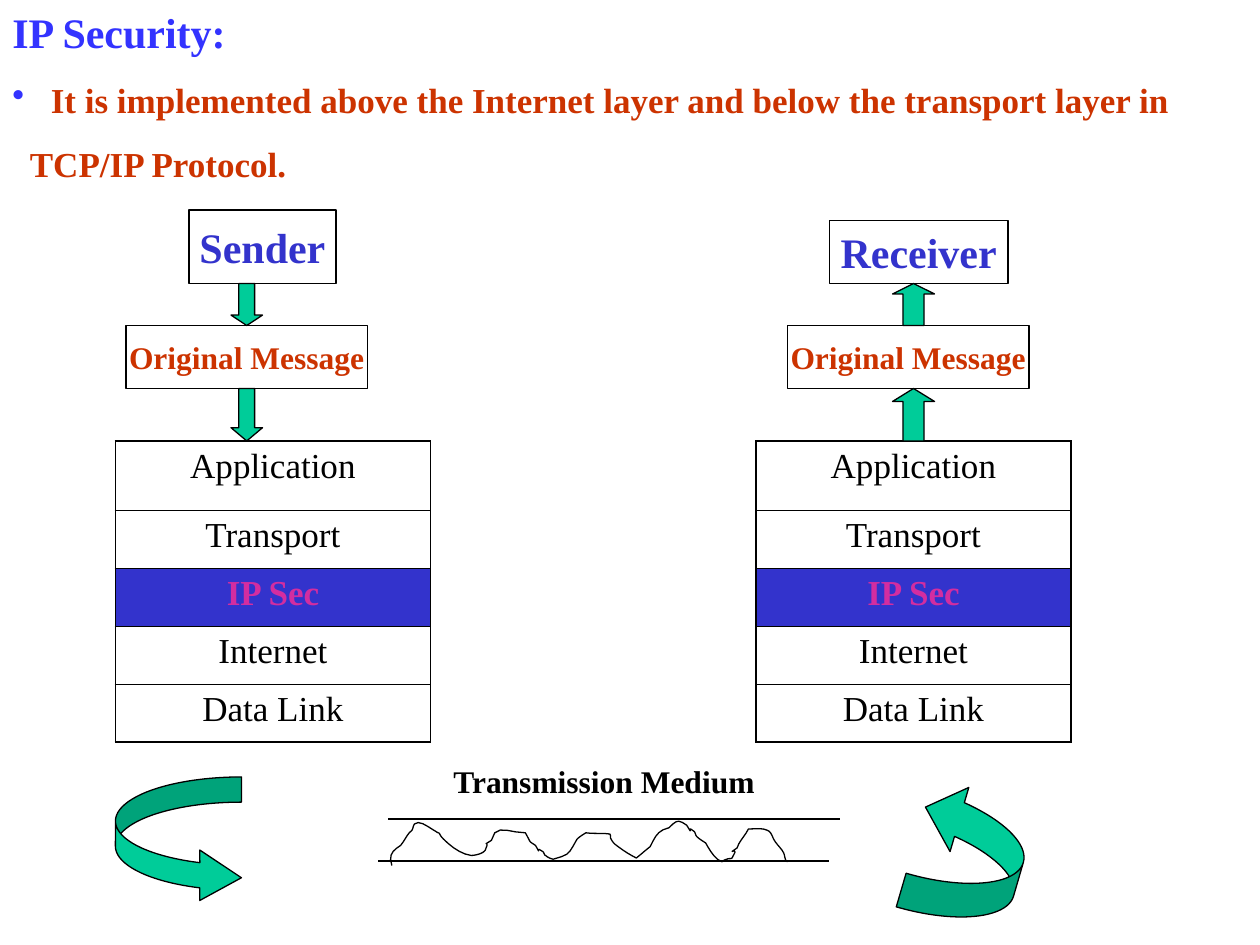
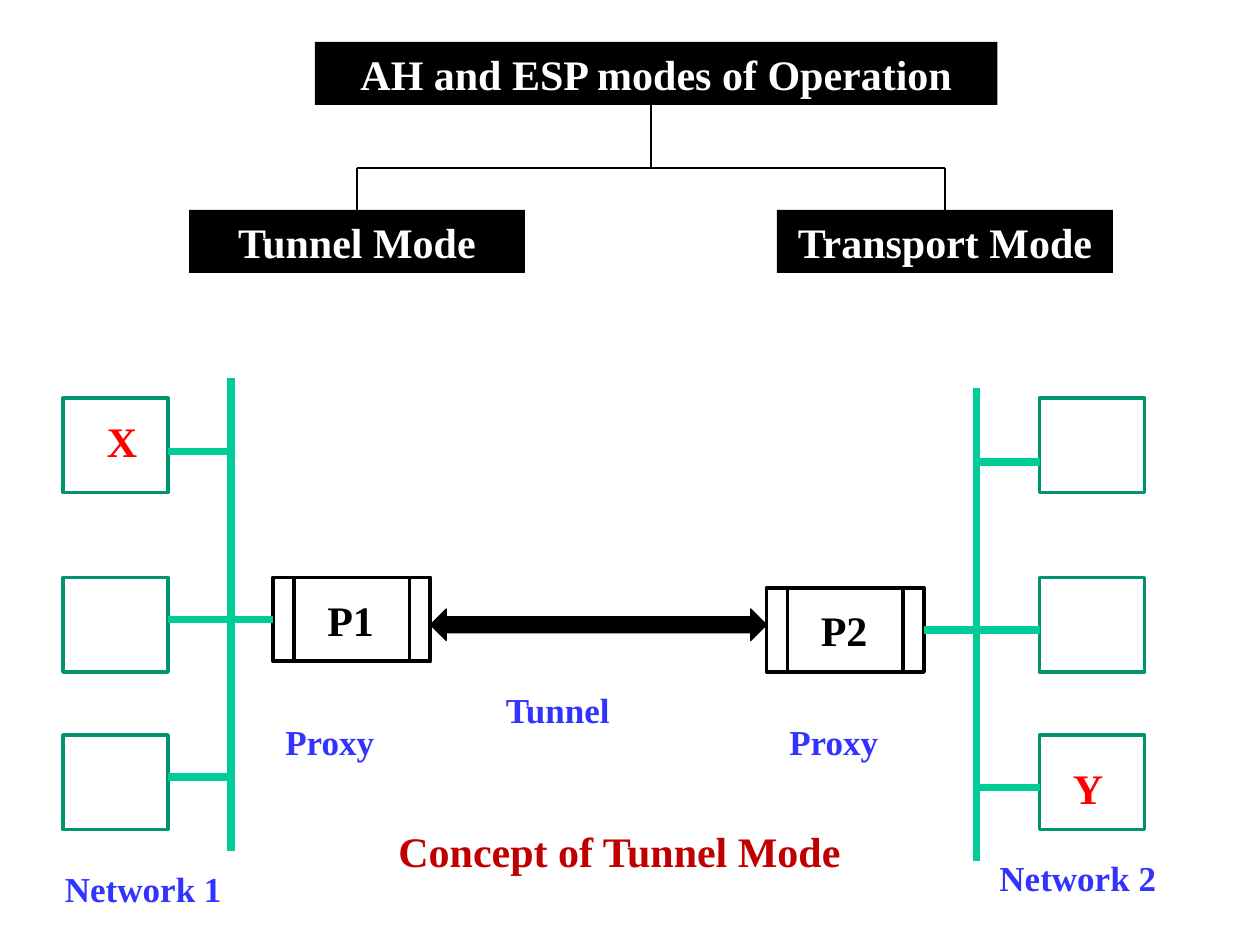
from lxml import etree
from pptx import Presentation
from pptx.dml.color import RGBColor
from pptx.enum import shapes, text
from pptx.oxml import ns
from pptx.util import Pt

COLORS = {
    "black": "000000", "white": "FFFFFF", "title": "3333FF", "party": "3333CC",
    "point": "CC3300", "arrow": "00CC99", "bus": "00CC98", "host": "00956F",
    "ipsec": "D32DA0", "concept": "C00000", "endpoint": "FF0000",
}
FONT = "Times New Roman"
SHAPE = shapes.MSO_SHAPE
CENTER = text.PP_ALIGN.CENTER
MIDDLE = text.MSO_ANCHOR.MIDDLE

LAYERS = ["Application", "Transport", "IP Sec", "Internet", "Data Link"]

SIGNAL_UNIT = 0.72
SIGNAL_START = (311, 687)
SIGNAL_CURVES = [
    (308, 678, 312, 675, 318, 671), (322, 666, 323, 662, 327, 659),
    (328, 657, 328, 655, 329, 654), (333, 650, 342, 658, 346, 660),
    (347, 661, 349, 661, 349, 662), (350, 664, 351, 665, 352, 666),
    (358, 672, 366, 678, 374, 679), (376, 679, 383, 678, 385, 675),
    (390, 665, 381, 673, 390, 667), (393, 653, 404, 661, 417, 661),
    (422, 670, 419, 667, 425, 671), (431, 681, 423, 670, 431, 676),
    (432, 677, 432, 679, 433, 679), (435, 681, 439, 682, 439, 682),
    (453, 678, 451, 678, 458, 666), (460, 664, 465, 661, 465, 661),
    (471, 662, 478, 661, 484, 662), (485, 663, 484, 665, 485, 666),
    (486, 668, 487, 669, 488, 670), (493, 674, 499, 678, 505, 681),
    (509, 678, 512, 675, 516, 672), (520, 664, 522, 659, 531, 657),
    (537, 651, 538, 650, 545, 655), (552, 666, 543, 653, 551, 660),
    (552, 661, 552, 663, 553, 664), (555, 666, 560, 669, 560, 669),
    (563, 674, 567, 682, 573, 684), (574, 683, 576, 682, 577, 682),
    (578, 681, 580, 682, 581, 681), (589, 669, 574, 681, 585, 673),
    (587, 667, 591, 664, 594, 658), (599, 658, 605, 657, 609, 659),
    (612, 660, 613, 664, 614, 666), (616, 670, 620, 673, 622, 677),
    (623, 679, 623, 684, 625, 684),
]


def color(name):
    return RGBColor.from_string(COLORS[name])


def write(p, words, size=24, ink="black", bold=True, align=None, before=0):
    p.alignment = align
    p.space_before = Pt(before)
    r = p.add_run()
    r.text = words
    f = r.font
    f.name, f.size, f.bold = FONT, Pt(size), bold
    f.color.rgb = color(ink)


def indent(p, left, bullet=None, ink="black"):
    pPr = p._p.get_or_add_pPr()
    pPr.set("marL", str(Pt(left)))
    if bullet:
        pPr.set("indent", str(-Pt(left)))
        clr = etree.SubElement(pPr, ns.qn("a:buClr"))
        etree.SubElement(clr, ns.qn("a:srgbClr"), val=COLORS[ink])
        etree.SubElement(pPr, ns.qn("a:buChar"), char=bullet)


def border(cell, **widths):
    tcPr = cell._tc.get_or_add_tcPr()
    for i, (side, width) in enumerate(widths.items()):
        ln = etree.Element(ns.qn("a:ln" + side), w=str(Pt(width)))
        fill = etree.SubElement(ln, ns.qn("a:solidFill"))
        etree.SubElement(fill, ns.qn("a:srgbClr"), val=COLORS["black"])
        tcPr.insert(i, ln)


def flatten(start, curves, steps=5):
    points = [start]
    for x1, y1, x2, y2, x3, y3 in curves:
        x0, y0 = points[-1]
        for i in range(1, steps + 1):
            t = i / steps
            u = 1 - t
            weights = (u ** 3, 3 * u * u * t, 3 * u * t * t, t ** 3)
            points.append((sum(w * x for w, x in zip(weights, (x0, x1, x2, x3))),
                           sum(w * y for w, y in zip(weights, (y0, y1, y2, y3)))))
    return points


class Deck:
    def __init__(self):
        self.prs = Presentation()
        self.prs.slide_width, self.prs.slide_height = Pt(720), Pt(540)
        self.s = None

    def new_slide(self):
        self.s = self.prs.slides.add_slide(self.prs.slide_layouts[6])

    def outline(self, sp, fill=None, line=None, width=0.75):
        sp.shadow.inherit = False
        if fill:
            sp.fill.solid()
            sp.fill.fore_color.rgb = color(fill)
        else:
            sp.fill.background()
        if line:
            sp.line.color.rgb = color(line)
            sp.line.width = Pt(width)
        else:
            sp.line.fill.background()

    def shape(self, kind, x, y, w, h, fill=None, line="black", width=0.75, adj=(), rotation=0):
        sp = self.s.shapes.add_shape(kind, Pt(x), Pt(y), Pt(w), Pt(h))
        self.outline(sp, fill, line, width)
        for i, value in enumerate(adj):
            sp.adjustments[i] = value
        sp.rotation = rotation
        return sp

    def box(self, words, x, y, w, h, fill="white", line="black", **style):
        sp = self.shape(SHAPE.RECTANGLE, x, y, w, h, fill, line)
        tf = sp.text_frame
        tf.word_wrap = False
        tf.vertical_anchor = MIDDLE
        write(tf.paragraphs[0], words, align=CENTER, **style)
        return sp

    def label(self, words, x, y, w, h=36, **style):
        tf = self.s.shapes.add_textbox(Pt(x), Pt(y), Pt(w), Pt(h)).text_frame
        tf.word_wrap = True
        write(tf.paragraphs[0], words, **style)
        return tf

    def line(self, x1, y1, x2, y2, ink="black", width=0.75, begin=None, end=None):
        c = self.s.shapes.add_connector(
            shapes.MSO_CONNECTOR.STRAIGHT, Pt(x1), Pt(y1), Pt(x2), Pt(y2))
        c.line.color.rgb = color(ink)
        c.line.width = Pt(width)
        etree.SubElement(c._element.spPr, ns.qn("a:effectLst"))
        if begin:
            c.begin_connect(*begin)
        if end:
            c.end_connect(*end)

    def curve(self, points, unit):
        points = [(Pt(x * unit), Pt(y * unit)) for x, y in points]
        fb = self.s.shapes.build_freeform(*points[0], scale=1)
        fb.add_line_segments(points[1:], close=False)
        self.outline(fb.convert_to_shape(), line="black")

    def stack(self, rows, x, y, w, heights, marked):
        frame = self.s.shapes.add_table(len(rows), 1, Pt(x), Pt(y), Pt(w), Pt(sum(heights)))
        table = frame.table
        table.first_row = table.horz_banding = False
        table.columns[0].width = Pt(w)
        for i, (words, height) in enumerate(zip(rows, heights)):
            table.rows[i].height = Pt(height)
            cell = table.cell(i, 0)
            hit = words == marked
            cell.fill.solid()
            cell.fill.fore_color.rgb = color("party" if hit else "white")
            write(cell.text_frame.paragraphs[0], words, size=20, bold=hit,
                  ink="ipsec" if hit else "black", align=CENTER, before=5)
            border(cell, L=1.08, R=1.08, T=0.45 if i else 1.08,
                   B=0.45 if i < len(rows) - 1 else 1.08)


def ip_security(d):
    d.new_slide()
    tf = d.label("IP Security:", 0, 0, 720, 110, ink="title", before=15)
    points = [("It is implemented above the Internet layer and below the transport layer in", 22, "•"),
              ("TCP/IP Protocol.", 10, None)]
    for words, left, bullet in points:
        p = tf.add_paragraph()
        write(p, words, size=20, ink="point", before=12.5)
        indent(p, left, bullet, "title")

    d.box("Sender", 108, 120, 84, 42, ink="party")
    d.box("Receiver", 474, 126, 102, 36, ink="party")
    for message_x, stack_x in ((72, 66), (450, 432)):
        d.box("Original Message", message_x, 186, 138, 36, size=18, ink="point")
        d.stack(LAYERS, stack_x, 252, 180, [39.6] + [33.1] * 4, "IP Sec")

    d.shape(SHAPE.CURVED_RIGHT_ARROW, 66, 444, 72, 72, "arrow", adj=(0.2, 0.4, 0.33))
    d.shape(SHAPE.CURVED_UP_ARROW, 514, 458, 78.5, 62.6, "arrow",
            adj=(0.32, 0.61, 0.33), rotation=286.3)
    d.line(216, 492, 474, 492)
    d.line(222, 468, 480, 468)
    d.curve(flatten(SIGNAL_START, SIGNAL_CURVES), SIGNAL_UNIT)

    for kind, x, w, heads in ((SHAPE.UP_ARROW, 510, 24, (0.25, 0.31)),
                              (SHAPE.DOWN_ARROW, 132, 18, (0.33, 0.42))):
        for y, h, head in zip((162, 222), (24, 30), heads):
            d.shape(kind, x, y, w, h, "arrow", adj=(0.5, head))
    d.label("Transmission Medium", 252, 432, 198, 29, size=18, before=11.2)


def network(d, host_x, host_edge, bus_x, drop):
    d.line(bus_x, 216 + drop, bus_x, 486 + drop, "bus", 4.5)
    for y in (227.5, 330, 420):
        d.shape(SHAPE.RECTANGLE, host_x, y, 60, 54, line="host", width=2)
    for y in (258, 444):
        d.line(host_edge, y + drop, bus_x, y + drop, "bus", 4.5)


def proxy(d, name, x, y, host_edge, side):
    sp = d.shape(SHAPE.RECTANGLE, x, y, 90, 48, width=2.25)
    for dx in (12, 78):
        d.line(x + dx, y, x + dx, y + 48, width=2.25)
    d.line(host_edge, y + 24, x, y + 24, "bus", 4.5, end=(sp, side))
    d.label(name, x + 24, y + 6, 42)


def tunnel_mode(d):
    d.new_slide()
    dark = dict(fill="black", line=None, ink="white")
    d.box("AH and ESP modes of Operation", 180, 24, 390, 36, **dark)
    d.line(372, 60, 372, 96, width=1)
    d.line(204, 96, 540, 96, width=1)
    for words, x in (("Tunnel Mode", 108), ("Transport Mode", 444)):
        sp = d.box(words, x, 120, 192, 36, **dark)
        d.line(x + 96, 96, x + 96, 120, width=1, end=(sp, 0))

    network(d, host_x=36, host_edge=96, bus_x=132, drop=0)
    network(d, host_x=594, host_edge=594, bus_x=558, drop=6)
    proxy(d, "P1", 156, 330, host_edge=96, side=1)
    proxy(d, "P2", 438, 336, host_edge=594, side=3)
    d.shape(SHAPE.LEFT_RIGHT_ARROW, 246, 348, 192, 18, "black", adj=(0.5, 0.5))

    captions = [("Proxy", 156, 408, 78), ("Proxy", 444, 408, 78), ("Tunnel", 282, 390, 78),
                ("Network 1", 30, 492, 126), ("Network 2", 564, 486, 126)]
    for words, x, y, w in captions:
        d.label(words, x, y, w, 32, size=20, ink="title")
    d.label("Concept of Tunnel Mode", 204, 468, 300, ink="concept", align=CENTER)
    d.label("X", 54, 234, 42, ink="endpoint")
    d.label("Y", 606, 432, 42, ink="endpoint")


def main():
    d = Deck()
    ip_security(d)
    tunnel_mode(d)
    d.prs.save("out.pptx")


if __name__ == "__main__":
    main()
